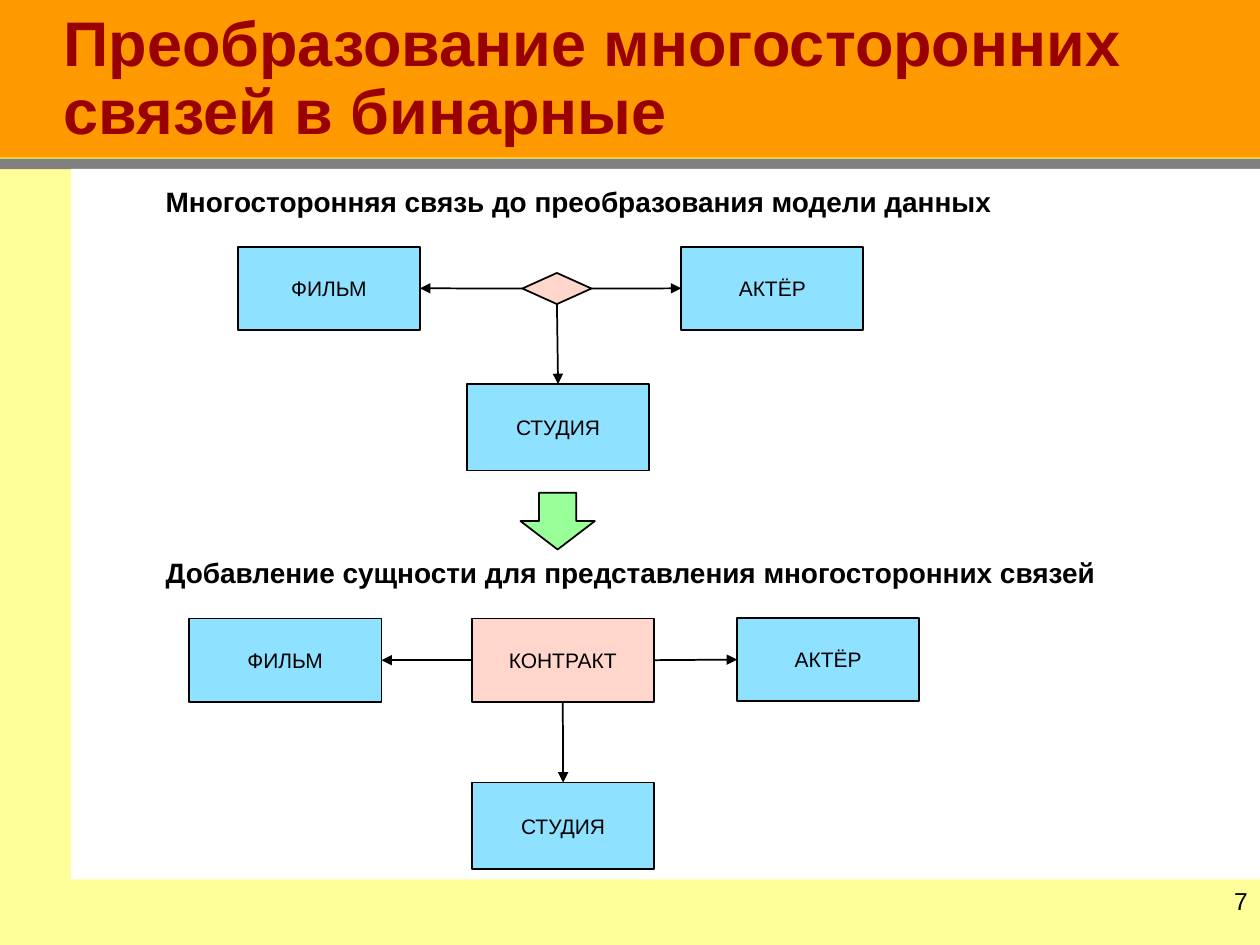
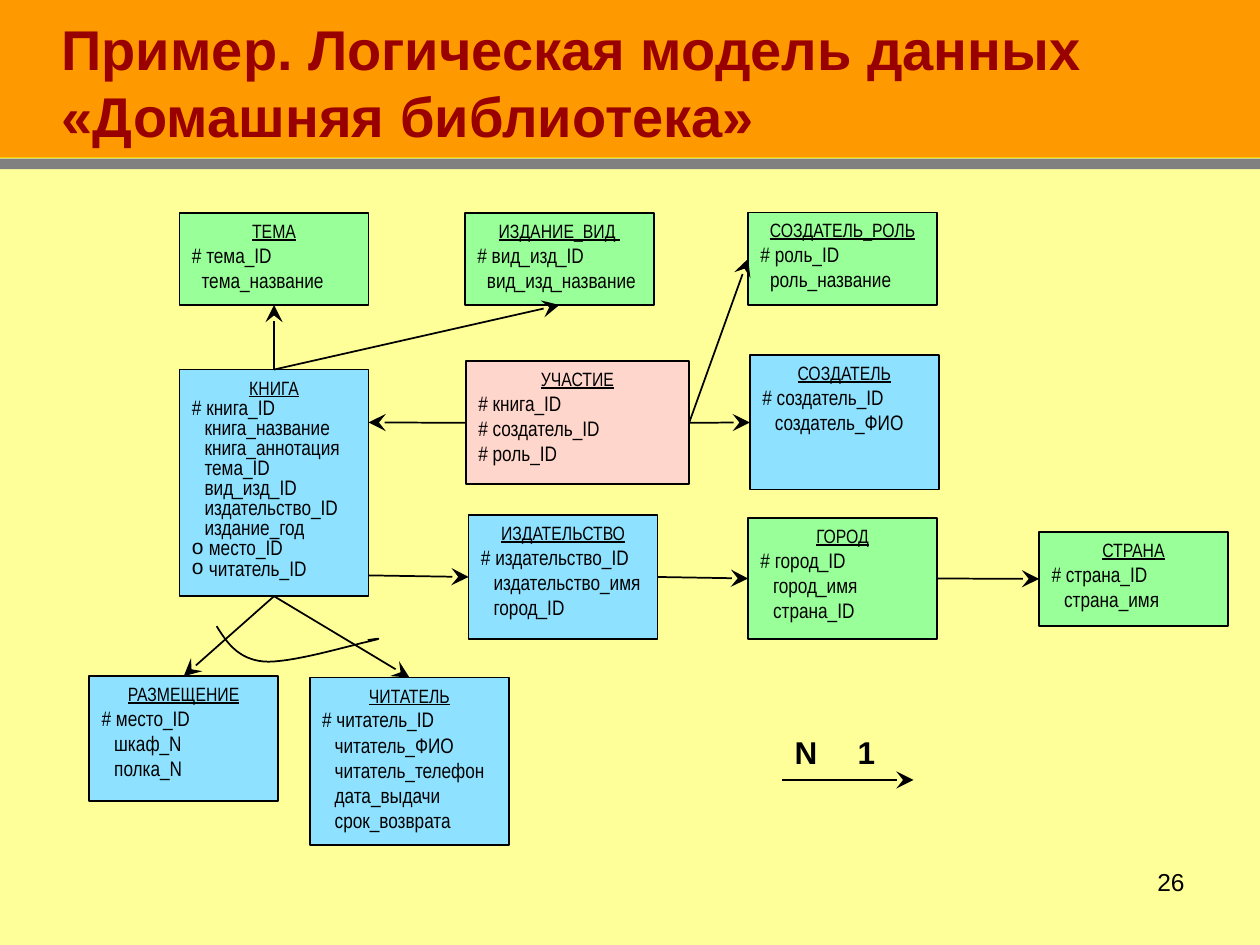
from dataclasses import dataclass
from typing import Any, Optional

import pptx
import pptx.dml.color
import pptx.enum.shapes
import pptx.enum.text
import pptx.oxml
import pptx.oxml.ns
import pptx.util
from lxml import etree

Pt = pptx.util.Pt
qn = pptx.oxml.ns.qn
Shapes = pptx.enum.shapes.MSO_SHAPE
Align = pptx.enum.text.PP_ALIGN
Anchor = pptx.enum.text.MSO_ANCHOR

ORANGE, YELLOW, GREY, GOLD = "FF9900", "FFFF99", "808080", "FFCC00"
DARK_RED, BLACK, WHITE = "990000", "000000", "FFFFFF"
BLUE, GREEN, PINK = "8FE2FF", "99FF99", "FFD6CC"
TOP, LEFT, BOTTOM, RIGHT = range(4)

NODE_FONT = {"name": "Arial", "size": Pt(12)}
LABEL_FONT = {"name": "Arial", "size": Pt(16), "bold": True}
NUMBER_FONT = {"name": "Arial", "size": Pt(14)}
LEGEND_FONT = {"name": "Arial", "size": Pt(18), "bold": True}
HEADING_FONT = {"name": "Arial Narrow", "size": Pt(11), "underline": True}
FIELD_FONT = {"name": "Arial Narrow", "size": Pt(12)}


@dataclass
class Area:
    left: float
    top: float
    width: float
    height: float

    def lengths(self) -> list[int]:
        return [Pt(v) for v in (self.left, self.top, self.width, self.height)]


@dataclass
class Node:
    """A one-line box of the relation diagrams."""
    key: str
    area: Area
    text: str = ""
    fill: str = BLUE
    kind: Any = Shapes.RECTANGLE


@dataclass
class Entity:
    """A table of the logical model; optional fields carry a round mark."""
    name: str
    area: Area
    fill: str
    fields: list[str]
    optional: tuple[str, ...] = ()
    indent: float = 7.2
    spacing: float = 1.0


@dataclass
class Link:
    source: str
    source_side: int
    target: str
    target_side: int


def rgb(value: str) -> Any:
    return pptx.dml.color.RGBColor.from_string(value)


def add_box(page: Any, area: Area, fill: str, line: Optional[str] = BLACK,
            kind: Any = Shapes.RECTANGLE) -> Any:
    box = page.shapes.add_shape(kind, *area.lengths())
    box.shadow.inherit = False
    box.fill.solid()
    box.fill.fore_color.rgb = rgb(fill)
    if line:
        box.line.color.rgb = rgb(line)
        box.line.width = Pt(1)
    else:
        box.line.fill.background()
    return box


def write(para: Any, text: str, font: dict[str, Any], color: str = BLACK,
          align: Any = Align.LEFT, indent: float = 0, first: float = 0,
          spacing: float = 1.0, bullet: str = "", tab: float = 0) -> None:
    para.alignment = align
    para.line_spacing = spacing
    props = para._p.get_or_add_pPr()
    props.set("marL", str(Pt(indent)))
    props.set("indent", str(Pt(first)))
    if bullet:
        etree.SubElement(props, qn("a:buFont"), typeface="Arial")
        etree.SubElement(props, qn("a:buChar"), char=bullet)
    if tab:
        stops = etree.SubElement(props, qn("a:tabLst"))
        etree.SubElement(stops, qn("a:tab"), pos=str(Pt(tab)), algn="l")
    for number, line in enumerate(text.split("\n")):
        if number:
            para.add_line_break()
        span = para.add_run()
        span.text = line
        for name, value in font.items():
            setattr(span.font, name, value)
        span.font.color.rgb = rgb(color)


def add_text(page: Any, area: Area, text: str, font: dict[str, Any],
             **layout: Any) -> None:
    box = page.shapes.add_textbox(*area.lengths())
    box.text_frame.word_wrap = True
    write(box.text_frame.paragraphs[0], text, font, **layout)


def add_line(page: Any, start: tuple[float, float], end: tuple[float, float],
             head: str = "", size: str = "med", color: str = BLACK) -> Any:
    line = page.shapes.add_connector(
        pptx.enum.shapes.MSO_CONNECTOR.STRAIGHT, *map(Pt, start + end))
    line.line.color.rgb = rgb(color)
    line.line.width = Pt(1)
    props = line.element.spPr
    if head:
        etree.SubElement(props.find(qn("a:ln")), qn("a:tailEnd"),
                         type=head, w=size, len=size)
    etree.SubElement(props, qn("a:effectLst"))
    return line


def add_links(page: Any, boxes: dict[str, Any], links: list[Link],
              head: str, size: str) -> None:
    for link in links:
        line = add_line(page, (0, 0), (0, 0), head, size)
        line.begin_connect(boxes[link.source], link.source_side)
        line.end_connect(boxes[link.target], link.target_side)


def add_node(page: Any, node: Node) -> Any:
    box = add_box(page, node.area, node.fill, kind=node.kind)
    if node.text:
        box.text_frame.vertical_anchor = Anchor.MIDDLE
        write(box.text_frame.paragraphs[0], node.text, NODE_FONT, align=Align.CENTER)
    return box


def add_entity(page: Any, entity: Entity) -> Any:
    box = add_box(page, entity.area, entity.fill)
    frame = box.text_frame
    frame.word_wrap = True
    frame.vertical_anchor = Anchor.TOP
    write(frame.paragraphs[0], entity.name, HEADING_FONT, align=Align.CENTER)
    for field in entity.fields:
        indent = 0 if field.startswith("#") else entity.indent
        write(frame.add_paragraph(), field, FIELD_FONT, indent=indent,
              spacing=entity.spacing)
    for field in entity.optional:
        write(frame.add_paragraph(), field, FIELD_FONT, indent=9.7, first=-9.7,
              spacing=entity.spacing, bullet="o")
    return box


def add_page(deck: Any, title: str, size: float, indent: float, spacing: float,
             number: str, number_area: Area) -> Any:
    page = deck.slides.add_slide(deck.slide_layouts[5])
    box = page.shapes.title
    for name, value in zip(("left", "top", "width", "height"),
                           Area(0, 4.3, 720, 84.2).lengths()):
        setattr(box, name, value)
    box.fill.solid()
    box.fill.fore_color.rgb = rgb(ORANGE)
    frame = box.text_frame
    frame.auto_size = pptx.enum.text.MSO_AUTO_SIZE.NONE
    frame.vertical_anchor = Anchor.BOTTOM
    write(frame.paragraphs[0], title,
          {"name": "Arial", "size": Pt(size), "bold": True},
          color=DARK_RED, indent=indent, spacing=spacing)
    add_text(page, number_area, number, NUMBER_FONT, align=Align.RIGHT)
    return page


def dress_master(deck: Any, page: Any) -> None:
    """Draw the shared bands on a page and move them to the master."""
    master = deck.slide_master
    master.background.fill.solid()
    master.background.fill.fore_color.rgb = rgb(YELLOW)
    bands = [add_box(page, Area(0, 0, 720, 90), ORANGE, None),
             add_box(page, Area(0, 90, 720, 450), YELLOW, None),
             add_box(page, Area(0, 90.7, 720, 6), GREY, None),
             add_line(page, (0, 90), (720, 90), color=GOLD)]
    for place, band in enumerate(bands, start=2):
        master.element.cSld.spTree.insert(place, band.element)


def fan_out(center: str, film: str, actor: str, studio: str) -> list[Link]:
    return [Link(center, LEFT, film, RIGHT), Link(center, RIGHT, actor, LEFT),
            Link(center, BOTTOM, studio, TOP)]


def fill_relations_page(page: Any) -> None:
    add_box(page, Area(40.5, 96.5, 679.5, 406), WHITE, None)
    nodes = [
        Node("film", Area(136, 141, 104, 47.5), "ФИЛЬМ"),
        Node("actor", Area(389.3, 141, 104, 47.5), "АКТЁР"),
        Node("studio", Area(266.9, 219.5, 104, 49.5), "СТУДИЯ"),
        Node("relation", Area(298.5, 156, 39.5, 17.8), fill=PINK, kind=Shapes.DIAMOND),
        Node("new film", Area(108, 353.5, 110, 47.5), "ФИЛЬМ"),
        Node("new actor", Area(421.2, 353.2, 104, 47.5), "АКТЁР"),
        Node("new studio", Area(269.8, 447.2, 104, 49.5), "СТУДИЯ"),
        Node("contract", Area(269.6, 353.5, 104, 47.5), "КОНТРАКТ", PINK),
        Node("step", Area(297.4, 281.5, 42.5, 32.5), fill=GREEN, kind=Shapes.DOWN_ARROW),
    ]
    boxes = {node.key: add_node(page, node) for node in nodes}
    links = (fan_out("relation", "film", "actor", "studio")
             + fan_out("contract", "new film", "new actor", "new studio"))
    add_links(page, boxes, links, "triangle", "med")
    for top, label in (
            (102.2, "Многосторонняя связь до преобразования модели данных"),
            (313.9, "Добавление сущности для представления многосторонних связей")):
        add_text(page, Area(73.4, top, 580, 26.6), label, LABEL_FONT, indent=14.2)


ENTITIES = [
    Entity("СОЗДАТЕЛЬ", Area(428.5, 203, 108, 76.8), BLUE,
           ["# создатель_ID", "создатель_ФИО"]),
    Entity("КНИГА", Area(102.6, 211.2, 108, 129.5), BLUE,
           ["# книга_ID", "книга_название", "книга_аннотация", "тема_ID",
            "вид_изд_ID", "издательство_ID", "издание_год"],
           ("место_ID", "читатель_ID"), spacing=0.8),
    Entity("ЧИТАТЕЛЬ", Area(177, 387.2, 114, 95.8), BLUE,
           ["# читатель_ID", "читатель_ФИО", "читатель_телефон",
            "дата_выдачи", "срок_возврата"]),
    Entity("ИЗДАТЕЛЬСТВО", Area(267.8, 294.3, 108, 70.8), BLUE,
           ["# издательство_ID", "издательство_имя", "город_ID"]),
    Entity("РАЗМЕЩЕНИЕ", Area(51, 386.4, 108, 71.3), BLUE,
           ["# место_ID", "шкаф_N", "полка_N"]),
    Entity("СОЗДАТЕЛЬ_РОЛЬ", Area(427.5, 121.4, 108, 53), GREEN,
           ["# роль_ID", "роль_название"], indent=5.5),
    Entity("ИЗДАНИЕ_ВИД ", Area(265.7, 121.7, 108, 52.6), GREEN,
           ["# вид_изд_ID", "вид_изд_название"], indent=5.5),
    Entity("ТЕМА", Area(102.6, 121.7, 108, 52.6), GREEN,
           ["# тема_ID", "тема_название"], indent=5.5),
    Entity("ГОРОД", Area(427.5, 296, 108, 69.2), GREEN,
           ["# город_ID", "город_имя", "страна_ID"]),
    Entity("СТРАНА", Area(593.8, 304, 108, 53.6), GREEN,
           ["# страна_ID", "страна_имя"]),
    Entity("УЧАСТИЕ", Area(266.2, 206.4, 127.6, 70.4), PINK,
           ["# книга_ID", "# создатель_ID", "# роль_ID"]),
]

ENTITY_LINKS = [
    Link("КНИГА", TOP, "ТЕМА", BOTTOM),
    Link("КНИГА", TOP, "ИЗДАНИЕ_ВИД ", BOTTOM),
    Link("КНИГА", BOTTOM, "РАЗМЕЩЕНИЕ", TOP),
    Link("КНИГА", BOTTOM, "ЧИТАТЕЛЬ", TOP),
    Link("УЧАСТИЕ", RIGHT, "СОЗДАТЕЛЬ_РОЛЬ", LEFT),
    Link("УЧАСТИЕ", RIGHT, "СОЗДАТЕЛЬ", LEFT),
    Link("ИЗДАТЕЛЬСТВО", RIGHT, "ГОРОД", LEFT),
    Link("ГОРОД", RIGHT, "СТРАНА", LEFT),
]


def add_choice_arc(page: Any) -> None:
    """Draw the arc across two exclusive links, as chained cubic curves."""
    knots = [(123.8, 357.8), (129.6, 367.2), (136.1, 376.6), (150.5, 378),
             (164.9, 379.4), (200.9, 368.6), (211, 366.5),
             (220.3, 364.3), (215.3, 365), (210.2, 365.8)]
    steps = 16
    points = []
    for start in range(0, len(knots) - 1, 3):
        for step in range(1, steps + 1):
            t = step / steps
            weights = ((1 - t) ** 3, 3 * t * (1 - t) ** 2, 3 * t * t * (1 - t), t ** 3)
            points.append(tuple(
                Pt(sum(w * knot[axis] for w, knot in zip(weights, knots[start:])))
                for axis in (0, 1)))
    builder = page.shapes.build_freeform(*map(Pt, knots[0]))
    builder.add_line_segments(points, close=False)
    arc = builder.convert_to_shape()
    arc.shadow.inherit = False
    arc.fill.background()
    arc.line.color.rgb = rgb(BLACK)
    arc.line.width = Pt(1)


def fill_library_page(page: Any) -> None:
    boxes = {entity.name: add_entity(page, entity) for entity in ENTITIES}
    add_links(page, boxes, ENTITY_LINKS, "stealth", "lg")
    to_publisher = add_line(page, (210.6, 328.8), (267.8, 329.7), "stealth", "lg")
    to_publisher.end_connect(boxes["ИЗДАТЕЛЬСТВО"], LEFT)
    to_book = add_line(page, (266.2, 241.6), (210.6, 241.4), "stealth", "lg")
    to_book.begin_connect(boxes["УЧАСТИЕ"], LEFT)
    add_choice_arc(page)
    add_line(page, (447, 445.7), (522, 445.7), "stealth", "lg")
    add_text(page, Area(447, 415.5, 88.6, 28.8), "N\t1", LEGEND_FONT, tab=52.5)


def main() -> None:
    deck = pptx.Presentation()
    deck.slide_width, deck.slide_height = Pt(720), Pt(540)
    relations = add_page(deck, "Преобразование многосторонних связей в бинарные",
                         36, 29, 0.9, "7", Area(685.4, 502.5, 34.6, 37.5))
    dress_master(deck, relations)
    fill_relations_page(relations)
    library = add_page(deck, "Пример. Логическая модель данных\n«Домашняя библиотека»",
                       32, 28, 1.0, "26", Area(516, 492, 168, 37.5))
    fill_library_page(library)
    deck.save("out.pptx")


if __name__ == "__main__":
    main()
